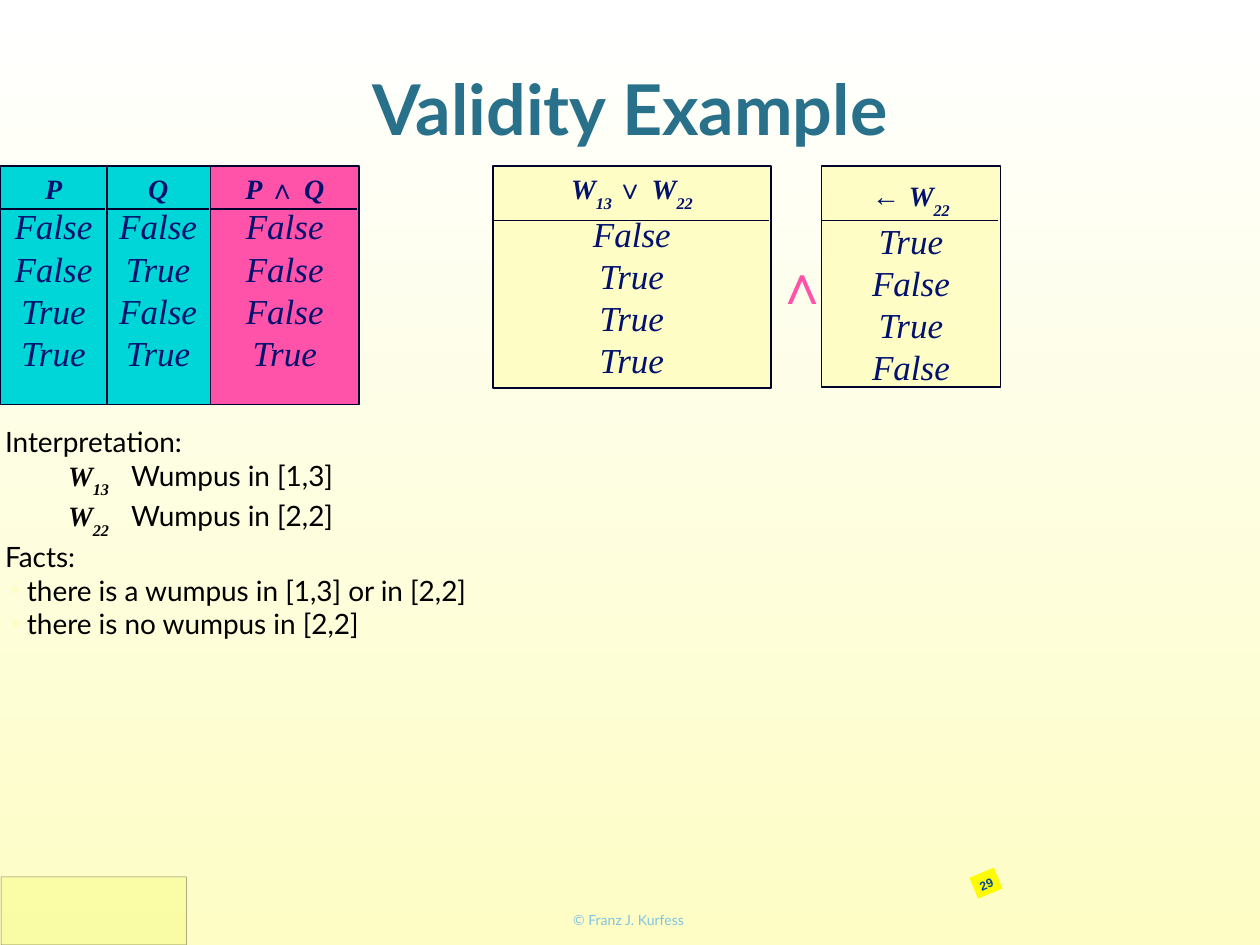
from lxml import etree
from pptx import Presentation
from pptx import util as u
from pptx.dml.color import RGBColor
from pptx.enum import shapes, text
from pptx.oxml.ns import qn

THEME = {
    "cream": "FDFDC5", "white": "FFFFFF", "cyan": "00D5D7", "pink": "FF52A9",
    "outline": "00032B", "navy": "01116D", "title": "29708A", "black": "000000",
    "footer": "80C4DF", "badge": "FFFB00", "badge_text": "0048AA", "corner": "F8FC84",
    "sans": "Lato", "serif": "Times New Roman", "plain": "Arial",
    "title_size": 40, "and_size": 32, "value_size": 20, "text_size": 16,
    "footer_size": 8, "badge_size": 7,
}
STYLES = {
    "symbol": dict(font="serif", size="text_size", bold=True, italic=True),
    "sub": dict(font="serif", size="text_size", bold=True, italic=True, baseline=-34),
    "operator": dict(font="plain", size="text_size"),
    "gap": dict(font="serif", size="value_size", bold=True, italic=True),
    "value": dict(font="serif", size="value_size", italic=True),
    "body": dict(font="sans", size="text_size"),
}

TITLE = "Validity Example"
FOOTER = "© Franz J. Kurfess"
PAGE = "29"
TOP = 1.32
TRUTH_COLUMNS = [
    dict(left=0.83, width=0.85, height=1.89, rule=0.34, pitch=19.2, fill="cyan",
         head=[("Q", "symbol")], values="False True False True"),
    dict(left=0, width=0.85, height=1.89, rule=0.34, pitch=19.2, fill="cyan",
         head=[("P", "symbol")], values="False False True True"),
    dict(left=1.67, width=1.18, height=1.89, rule=0.34, pitch=19.2, fill="pink",
         head=[("P ", "symbol"), ("∧ ", "operator"), ("Q", "symbol")],
         values="False False False True"),
    dict(left=6.52, width=1.42, height=1.75, rule=0.43, pitch=27.5, fill="cream",
         head=[("←", "operator"), (" ", "gap"), ("W", "symbol"), ("22", "sub")],
         values="True False True False"),
    dict(left=3.91, width=2.21, height=1.76, rule=0.43, pitch=23.5, fill="cream",
         head=[("W", "symbol"), ("13 ", "sub"), ("∨ ", "operator"),
               ("W", "symbol"), ("22", "sub")],
         values="False True True True"),
]
EXPLANATION = [
    (False, [("Interpretation:", "body")]),
    (False, [("\tW", "symbol"), ("13\t", "sub"), ("Wumpus in [1,3]", "body")]),
    (False, [("\tW", "symbol"), ("22\t", "sub"), ("Wumpus in [2,2]", "body")]),
    (False, [("Facts:", "body")]),
    (True, [(" there is a wumpus in [1,3] or in [2,2]", "body")]),
    (True, [(" there is no wumpus in [2,2]", "body")]),
]


def rgb(name):
    return RGBColor.from_string(THEME[name])


def write(paragraph, words, font="sans", size="text_size", color="black",
          bold=False, italic=False, baseline=0):
    run = paragraph.add_run()
    run.text = words
    run.font.name = THEME[font]
    run.font.size = u.Pt(THEME[size])
    run.font.color.rgb = rgb(color)
    run.font.bold, run.font.italic = bold, italic
    if baseline:
        run.font._element.set("baseline", str(baseline * 1000))


def place(part, left, top, width, height):
    part.left, part.top, part.width, part.height = map(u.Inches, (left, top, width, height))


def set_frame(part, anchor=text.MSO_ANCHOR.TOP, wrap=True):
    frame = part.text_frame
    frame.margin_left = frame.margin_right = u.Inches(0.04)
    frame.margin_top = frame.margin_bottom = u.Inches(0.04)
    frame.vertical_anchor, frame.word_wrap = anchor, wrap
    frame.auto_size = text.MSO_AUTO_SIZE.NONE
    return frame


def add_box(slide, left, top, width, height, fill, line=None, weight=1):
    box = slide.shapes.add_shape(shapes.MSO_SHAPE.RECTANGLE,
                                 *map(u.Inches, (left, top, width, height)))
    box.shadow.inherit = False
    box.fill.solid()
    box.fill.fore_color.rgb = rgb(fill)
    if line:
        box.line.color.rgb = rgb(line)
        box.line.width = u.Pt(weight)
    else:
        box.line.fill.background()
    return box


def add_label(slide, area, words, align, anchor=text.MSO_ANCHOR.TOP, wrap=True, **style):
    label = slide.shapes.add_textbox(*map(u.Inches, area))
    paragraph = set_frame(label, anchor, wrap).paragraphs[0]
    paragraph.alignment = align
    write(paragraph, words, **style)


def add_truth_column(slide, left, width, height, rule, pitch, fill, head, values):
    frame = set_frame(add_box(slide, left, TOP, width, height, fill, "outline"))
    rows = [(head, pitch)] + [([(value, "value")], 24) for value in values.split()]
    for index, (runs, spacing) in enumerate(rows):
        paragraph = frame.add_paragraph() if index else frame.paragraphs[0]
        paragraph.alignment = text.PP_ALIGN.CENTER
        paragraph.line_spacing = u.Pt(spacing)
        for words, style in runs:
            write(paragraph, words, color="navy", **STYLES[style])
    y = u.Inches(TOP + rule)
    divider = slide.shapes.add_connector(shapes.MSO_CONNECTOR.STRAIGHT, u.Inches(left), y,
                                         u.Inches(left + width - 0.02), y)
    divider.line.color.rgb = rgb("outline")
    divider.line.width = u.Pt(1)
    etree.SubElement(divider._element.spPr, qn("a:effectLst"))


def format_item(paragraph, bulleted):
    paragraph.space_before = u.Pt(0)
    props = paragraph._p.get_or_add_pPr()
    props.set("marL", str(u.Inches(0.04 if bulleted else 0)))
    props.set("indent", "0")
    if bulleted:
        tint = etree.SubElement(props, qn("a:buClr"))
        etree.SubElement(tint, qn("a:srgbClr"), val=THEME["cream"])
        etree.SubElement(props, qn("a:buChar"), char="•")
    else:
        etree.SubElement(props, qn("a:buNone"))
        tabs = etree.SubElement(props, qn("a:tabLst"))
        for stop in (0.5, 1):
            etree.SubElement(tabs, qn("a:tab"), pos=str(u.Inches(stop)), algn="l")


def main():
    deck = Presentation()
    deck.slide_width, deck.slide_height = u.Inches(10), u.Inches(7.5)
    slide = deck.slides.add_slide(deck.slide_layouts[1])
    backdrop = slide.background.fill
    backdrop.gradient()
    backdrop.gradient_angle = 90
    for stop, name in zip(backdrop.gradient_stops, ("cream", "white")):
        stop.color.rgb = rgb(name)

    corner = add_box(slide, 0.01, 6.96, 1.47, 0.54, "corner", "black", 0.25)
    for color in corner._element.spPr.iter(qn("a:srgbClr")):
        etree.SubElement(color, qn("a:alpha"), val="48000")
    add_label(slide, (3.36, 7.17, 3.26, 0.26), FOOTER, text.PP_ALIGN.CENTER,
              text.MSO_ANCHOR.MIDDLE, size="footer_size", color="footer")

    title = slide.shapes.title
    place(title, 0.6, 0, 8.8, 1.7)
    heading = set_frame(title, text.MSO_ANCHOR.MIDDLE).paragraphs[0]
    heading.alignment = text.PP_ALIGN.CENTER
    write(heading, TITLE, size="title_size", color="title", bold=True)

    for column in TRUTH_COLUMNS:
        add_truth_column(slide, **column)
    add_label(slide, (6.11, 1.93, 0.37, 0.53), "∧", text.PP_ALIGN.LEFT, wrap=False,
              font="plain", size="and_size", color="pink")

    body = slide.placeholders[1]
    place(body, 0, 3.33, 4.26, 1.9)
    frame = set_frame(body)
    for index, (bulleted, runs) in enumerate(EXPLANATION):
        paragraph = frame.add_paragraph() if index else frame.paragraphs[0]
        format_item(paragraph, bulleted)
        for words, style in runs:
            write(paragraph, words, **STYLES[style])

    badge = add_box(slide, 7.72, 6.92, 0.21, 0.18, "badge")
    badge.rotation = 337.5
    number = set_frame(badge, wrap=False).paragraphs[0]
    number.alignment = text.PP_ALIGN.CENTER
    write(number, PAGE, font="plain", size="badge_size", color="badge_text", bold=True)
    deck.save("out.pptx")


if __name__ == "__main__":
    main()
